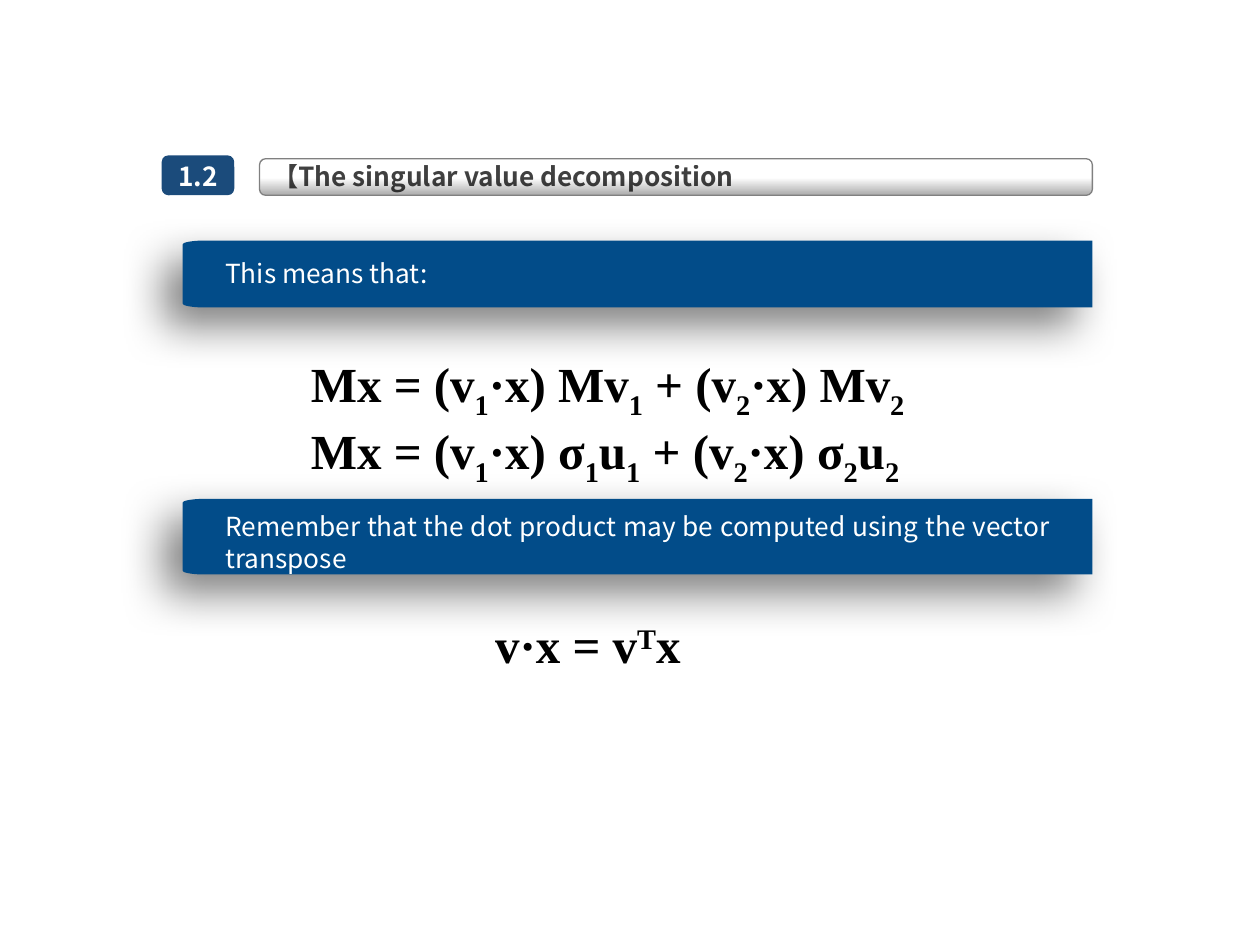
from copy import deepcopy
from dataclasses import dataclass
from math import cos, pi, sin

from lxml.etree import SubElement
from pptx import Presentation
from pptx.dml.color import RGBColor
from pptx.enum.shapes import MSO_SHAPE
from pptx.enum.text import MSO_ANCHOR, MSO_AUTO_SIZE, PP_ALIGN
from pptx.oxml import parse_xml
from pptx.oxml.ns import nsdecls, qn
from pptx.util import Pt


@dataclass(frozen=True)
class Theme:
    black: str = "000000"
    white: str = "FFFFFF"
    badge: str = "1B4B7B"
    banner: str = "024C89"
    edge: str = "808080"
    shade: str = "ABABAB"
    sans: str = "Noto Sans CJK SC"
    serif: str = "Times New Roman"
    body: float = 15
    body_line: float = 18.3
    math: float = 28


@dataclass(frozen=True)
class Box:
    x: float
    y: float
    w: float
    h: float

    def pts(self) -> tuple:
        return Pt(self.x), Pt(self.y), Pt(self.w), Pt(self.h)


@dataclass(frozen=True)
class Banner:
    box: Box
    text_box: Box
    text: str


@dataclass(frozen=True)
class Formula:
    box: Box
    lines: tuple
    shift: int


T = Theme()
RADIUS_X, RADIUS_Y, ARC_STEPS = 12.2, 2.2, 8
TITLE = "【The singular value decomposition"
TITLE_BOX = Box(148.3, 87.8, 493.9, 25.2)
TITLE_BAR = Box(148.3, 90.7, 475.9, 20.9)
BADGE = Box(92.4, 88.8, 41.5, 22.8)
BANNERS = (
    Banner(Box(104.4, 137.5, 519.8, 38.2), Box(121.7, 143.3, 485.3, 43.2),
           "This means that:"),
    Banner(Box(104.4, 285.1, 519.8, 43.2), Box(121.7, 288, 485.3, 43.2),
           "Remember that the dot product may be computed using the vector transpose"),
)
FORMULAS = (
    Formula(Box(170.6, 198.7, 378, 74.9),
            ("Mx = (v|1|·x) Mv|1| + (v|2|·x) Mv|2",
             "Mx = (v|1|·x) σ|1|u|1| + (v|2|·x) σ|2|u|2"), -25000),
    Formula(Box(275.8, 347.8, 126, 41), ("v·x = v|T|x",), 30000),
)


def apply(obj, **values) -> None:
    for name, value in values.items():
        setattr(obj, name, value)


def add_run(p, text: str, color: str, font: str, size: float, bold: bool):
    r = p.add_run()
    r.text = text
    apply(r.font, name=font, size=Pt(size), bold=bold)
    r.font.color.rgb = RGBColor.from_string(color)
    SubElement(r.font._element, qn("a:ea"), typeface=font)
    return r


def set_body(tf, text: str, color: str, bold: bool, align):
    p = tf.paragraphs[0]
    apply(p, alignment=align, line_spacing=Pt(T.body_line))
    return add_run(p, text, color, T.sans, T.body, bold)


def add_title(s) -> None:
    sp = s.shapes.title
    apply(sp, **dict(zip(("left", "top", "width", "height"), TITLE_BOX.pts())))
    apply(sp.text_frame, word_wrap=True, vertical_anchor=MSO_ANCHOR.TOP,
          auto_size=MSO_AUTO_SIZE.NONE)
    r = set_body(sp.text_frame, TITLE, T.black, True, PP_ALIGN.LEFT)
    SubElement(r.font._element.find(".//" + qn("a:srgbClr")), qn("a:alpha"), val="75000")


def add_round(s, box: Box):
    sp = s.shapes.add_shape(MSO_SHAPE.ROUNDED_RECTANGLE, *box.pts())
    sp.shadow.inherit = False
    return sp


def add_title_bar(s) -> None:
    sp = add_round(s, TITLE_BAR)
    sp.fill.gradient()
    sp.fill.gradient_angle = 90
    for stop, pos, color in zip(sp.fill.gradient_stops, (0, 0.48), (T.shade, T.white)):
        stop.position = pos
        stop.color.rgb = RGBColor.from_string(color)
    last = deepcopy(stop._gs)
    last.set("pos", "100000")
    stop._gs.addnext(last)
    sp.line.color.rgb = RGBColor.from_string(T.edge)
    sp.line.width = Pt(0.75)
    s.shapes.title._element.addprevious(sp._element)


def add_badge(s) -> None:
    sp = add_round(s, BADGE)
    sp.fill.solid()
    sp.fill.fore_color.rgb = RGBColor.from_string(T.badge)
    sp.line.fill.background()
    apply(sp.text_frame, word_wrap=False, vertical_anchor=MSO_ANCHOR.MIDDLE,
          margin_left=Pt(5), margin_right=Pt(5), margin_top=Pt(3), margin_bottom=Pt(3))
    set_body(sp.text_frame, "1.2", T.white, True, PP_ALIGN.CENTER)


def arc(cx: float, cy: float, start: float) -> list:
    angles = [start + pi / 2 * i / ARC_STEPS for i in range(ARC_STEPS + 1)]
    return [(Pt(cx + RADIUS_X * cos(a)), Pt(cy + RADIUS_Y * sin(a))) for a in angles]


def add_text_box(shapes, box: Box):
    tf = shapes.add_textbox(*box.pts()).text_frame
    apply(tf, word_wrap=True, auto_size=MSO_AUTO_SIZE.SHAPE_TO_FIT_TEXT)
    return tf


def add_banner(s, banner: Banner) -> None:
    shapes = s.shapes.add_group_shape().shapes
    b = banner.box
    right, bottom, cx = b.x + b.w, b.y + b.h, b.x + RADIUS_X
    fb = shapes.build_freeform(Pt(right), Pt(b.y))
    fb.add_line_segments([(Pt(right), Pt(bottom))]
                         + arc(cx, bottom - RADIUS_Y, pi / 2)
                         + arc(cx, b.y + RADIUS_Y, pi), close=True)
    sp = fb.convert_to_shape()
    sp.fill.solid()
    sp.fill.fore_color.rgb = RGBColor.from_string(T.banner)
    sp.line.fill.background()
    sp._element.spPr.append(parse_xml(
        f'<a:effectLst {nsdecls("a")}><a:outerShdw blurRad="{Pt(25)}" dist="{Pt(15)}" '
        f'dir="8100000" algn="tr" rotWithShape="0"><a:srgbClr val="{T.black}">'
        '<a:alpha val="50000"/></a:srgbClr></a:outerShdw></a:effectLst>'))
    tf = add_text_box(shapes, banner.text_box)
    set_body(tf, banner.text, T.white, False, PP_ALIGN.JUSTIFY)


def add_formula(s, formula: Formula) -> None:
    tf = add_text_box(s.shapes, formula.box)
    for n, line in enumerate(formula.lines):
        p = tf.add_paragraph() if n else tf.paragraphs[0]
        for i, part in enumerate(line.split("|")):
            r = add_run(p, part, T.black, T.serif, T.math, True)
            if i % 2:
                r.font._element.set("baseline", str(formula.shift))


def main() -> None:
    prs = Presentation()
    apply(prs, slide_width=Pt(720), slide_height=Pt(540))
    s = prs.slides.add_slide(prs.slide_layouts[5])
    add_title(s)
    add_title_bar(s)
    add_badge(s)
    for banner, formula in zip(BANNERS, FORMULAS):
        add_banner(s, banner)
        add_formula(s, formula)
    prs.save("out.pptx")


if __name__ == "__main__":
    main()
